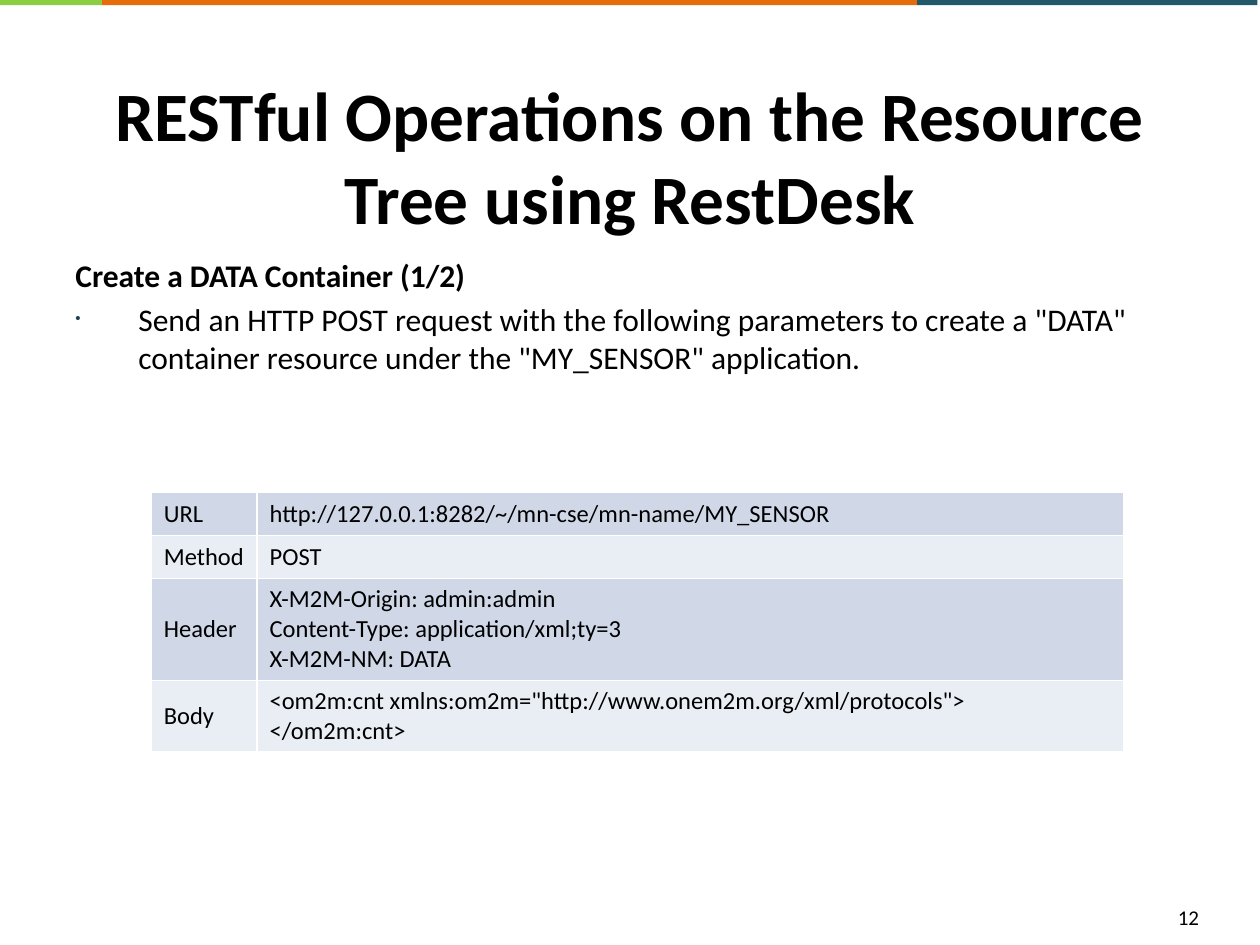
import pptx
import pptx.util
import pptx.oxml
import pptx.oxml.ns
import pptx.dml.color
import pptx.enum.shapes
import pptx.enum.text
from dataclasses import dataclass
from lxml import etree

Inches = pptx.util.Inches
Pt = pptx.util.Pt
Anchor = pptx.enum.text.MSO_ANCHOR
Align = pptx.enum.text.PP_ALIGN
qn = pptx.oxml.ns.qn


@dataclass(frozen=True)
class Theme:
    font: str = "Calibri"
    text: str = "000000"
    green: str = "8BCD43"
    orange: str = "E46C0A"
    teal: str = "215968"
    bullet: str = "19434F"
    border: str = "FFFFFF"
    bands: tuple = ("D0D8E8", "E9EDF4")
    title_size: float = 39.6
    body_size: float = 18
    table_size: float = 14
    number_size: float = 12


def color(value):
    return pptx.dml.color.RGBColor.from_string(value)


def apply(target, values):
    for name, value in values.items():
        setattr(target, name, value)


class SlideBuilder:
    def __init__(self, slide, theme):
        self.slide = slide
        self.theme = theme

    def bar(self, left, width, fill):
        shape = self.slide.shapes.add_shape(
            pptx.enum.shapes.MSO_SHAPE.RECTANGLE,
            Inches(left), Inches(-0.01), Inches(width), Inches(0.05))
        shape.shadow.inherit = False
        shape.fill.solid()
        shape.fill.fore_color.rgb = color(fill)
        shape.line.fill.background()

    def styled_text(self, paragraph, text, size, bold=False):
        paragraph.text = text
        for run in paragraph.runs:
            apply(run.font, {"name": self.theme.font, "size": Pt(size), "bold": bold})
            run.font.color.rgb = color(self.theme.text)

    def text_box(self, left, top, width, height, anchor=Anchor.TOP):
        shape = self.slide.shapes.add_textbox(
            Inches(left), Inches(top), Inches(width), Inches(height))
        apply(shape.text_frame, {"word_wrap": True, "vertical_anchor": anchor})
        return shape.text_frame

    def bullet(self, paragraph, indent, percent):
        properties = paragraph._p.get_or_add_pPr()
        properties.set("marL", str(Inches(indent)))
        properties.set("indent", str(-Inches(indent)))
        bullet_color = etree.SubElement(properties, qn("a:buClr"))
        etree.SubElement(bullet_color, qn("a:srgbClr"), val=self.theme.bullet)
        etree.SubElement(properties, qn("a:buSzPct"), val=str(percent * 1000))
        etree.SubElement(properties, qn("a:buFont"), typeface="Arial")
        etree.SubElement(properties, qn("a:buChar"), char="•")

    def borders(self, cell):
        properties = cell._tc.get_or_add_tcPr()
        for position, side in enumerate(("lnL", "lnR", "lnT", "lnB")):
            line = etree.Element(qn(f"a:{side}"), w=str(Pt(1)))
            fill = etree.SubElement(line, qn("a:solidFill"))
            etree.SubElement(fill, qn("a:srgbClr"), val=self.theme.border)
            properties.insert(position, line)

    def table(self, left, top, widths, heights, rows):
        table = self.slide.shapes.add_table(
            len(rows), len(widths), Inches(left), Inches(top),
            Inches(sum(widths)), Inches(sum(heights))).table
        apply(table, {"first_row": False, "horz_banding": False})
        for column, width in zip(table.columns, widths):
            column.width = Inches(width)
        for index, (row, height, texts) in enumerate(zip(table.rows, heights, rows)):
            row.height = Inches(height)
            for cell, text in zip(row.cells, texts):
                cell.vertical_anchor = Anchor.MIDDLE
                cell.fill.solid()
                cell.fill.fore_color.rgb = color(self.theme.bands[index % 2])
                self.borders(cell)
                cell.text = text
                for paragraph in cell.text_frame.paragraphs:
                    self.styled_text(paragraph, paragraph.text, self.theme.table_size)


def main():
    theme = Theme()
    presentation = pptx.Presentation()
    apply(presentation, {"slide_width": Inches(10), "slide_height": Inches(7.5)})
    slide = presentation.slides.add_slide(presentation.slide_layouts[6])
    builder = SlideBuilder(slide, theme)

    for left, width, fill in ((0.8, 6.48, theme.orange), (7.28, 2.7, theme.teal),
                              (-0.05, 0.86, theme.green)):
        builder.bar(left, width, fill)

    title = builder.text_box(0.5, 0.68, 9, 1.1, Anchor.MIDDLE).paragraphs[0]
    title.alignment = Align.CENTER
    builder.styled_text(title, "RESTful Operations on the Resource Tree using RestDesk",
                        theme.title_size, True)

    body = builder.text_box(0.5, 1.98, 9, 4.84)
    heading, request = body.paragraphs[0], body.add_paragraph()
    builder.styled_text(heading, "Create a DATA Container (1/2)", theme.body_size, True)
    builder.styled_text(request, 'Send an HTTP POST request with the following parameters to '
                        'create a "DATA" container resource under the "MY_SENSOR" '
                        'application.', theme.body_size)
    for paragraph in (heading, request):
        paragraph.space_before = Pt(3.6)
    builder.bullet(request, 0.5, 48)

    number = builder.text_box(9.25, 7.13, 0.64, 0.4).paragraphs[0]
    builder.styled_text(number, "12", theme.number_size)

    builder.table(1.2, 3.91, (0.84, 6.88), (0.34, 0.34, 0.81, 0.57), (
        ("URL", "http://127.0.0.1:8282/~/mn-cse/mn-name/MY_SENSOR"),
        ("Method", "POST"),
        ("Header", "X-M2M-Origin: admin:admin\vContent-Type: application/xml;ty=3\v"
                   "X-M2M-NM: DATA"),
        ("Body", '<om2m:cnt xmlns:om2m="http://www.onem2m.org/xml/protocols">\n'
                 "</om2m:cnt>"),
    ))
    presentation.save("out.pptx")


if __name__ == "__main__":
    main()
